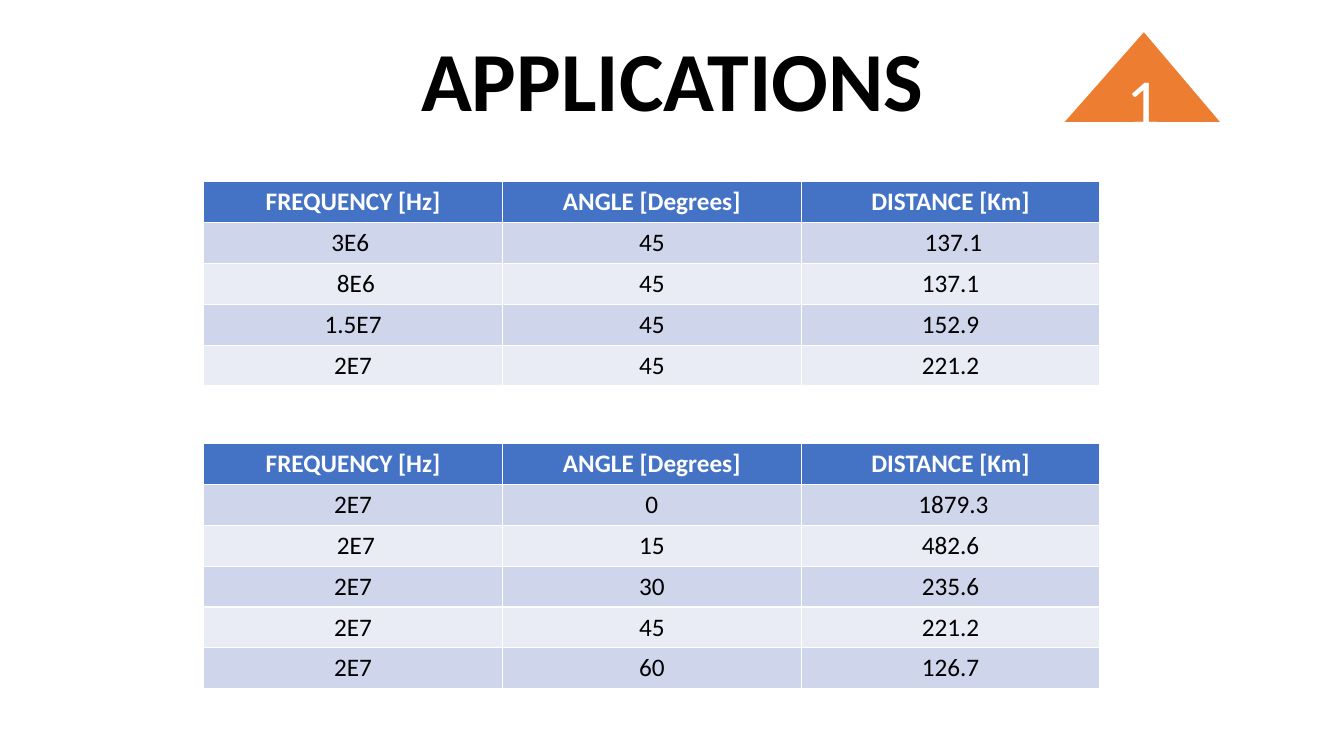
from pptx import Presentation
from pptx.dml.color import RGBColor
from pptx.enum.shapes import MSO_SHAPE
from pptx.enum.text import MSO_ANCHOR, PP_ALIGN
from pptx.util import Inches, Pt

TRIANGLE = MSO_SHAPE.ISOSCELES_TRIANGLE
MIDDLE = MSO_ANCHOR.MIDDLE
CENTER = PP_ALIGN.CENTER

TITLE = "APPLICATIONS"
HEAD = ("FREQUENCY [Hz]", "ANGLE [Degrees]", "DISTANCE [Km]")
TABLES = [
    (1.8, 2.03, [
        ("3E6 ", "45", " 137.1"),
        (" 8E6", "45", "137.1"),
        ("1.5E7", "45", "152.9"),
        ("2E7", "45", "221.2"),
    ]),
    (4.4, 2.43, [
        ("2E7", "0", " 1879.3"),
        (" 2E7", "15", "482.6"),
        ("2E7", "30", "235.6"),
        ("2E7", "45", "221.2"),
        ("2E7", "60", "126.7"),
    ]),
]
LEFT, WIDTH = 2.02, 8.89
BLUE, ORANGE, WHITE, BLACK = "4472C4", "ED7D31", "FFFFFF", "000000"
BANDS = ("E9EBF5", "CFD5EA")


def paint(fill, color):
    fill.solid()
    fill.fore_color.rgb = RGBColor.from_string(color)


def write(frame, text, size, color, bold=False):
    frame.text = text
    para = frame.paragraphs[0]
    para.alignment = CENTER
    font = para.runs[0].font
    for name, value in {"name": "Calibri", "size": Pt(size), "bold": bold}.items():
        setattr(font, name, value)
    font.color.rgb = RGBColor.from_string(color)
    return para


def add_grid(slide, top, height, body):
    rows = [HEAD, *body]
    grid = slide.shapes.add_table(
        len(rows), len(HEAD), Inches(LEFT), Inches(top), Inches(WIDTH), Inches(height)
    ).table
    for r, row in enumerate(rows):
        for c, text in enumerate(row):
            cell = grid.cell(r, c)
            paint(cell.fill, BANDS[r % 2] if r else BLUE)
            write(cell.text_frame, text, 18, BLACK if r else WHITE, r == 0)


def main():
    deck = Presentation()
    deck.slide_width, deck.slide_height = Inches(13.33), Inches(7.5)
    slide = deck.slides.add_slide(deck.slide_layouts[5])

    title = slide.shapes.title
    title.left, title.top = Inches(0.92), Inches(0.32)
    title.width, title.height = Inches(11.5), Inches(1.03)
    title.text_frame.vertical_anchor = MIDDLE
    write(title.text_frame, TITLE, 60, BLACK, True).line_spacing = 0.9

    for top, height, body in TABLES:
        add_grid(slide, top, height, body)

    badge = slide.shapes.add_shape(
        TRIANGLE, Inches(10.56), Inches(0.32), Inches(1.54), Inches(0.89)
    )
    badge.adjustments[0] = 0.51
    badge.shadow.inherit = False
    paint(badge.fill, ORANGE)
    badge.line.fill.background()
    badge.text_frame.vertical_anchor = MIDDLE
    write(badge.text_frame, "1", 48, WHITE)

    deck.save("out.pptx")


if __name__ == "__main__":
    main()
